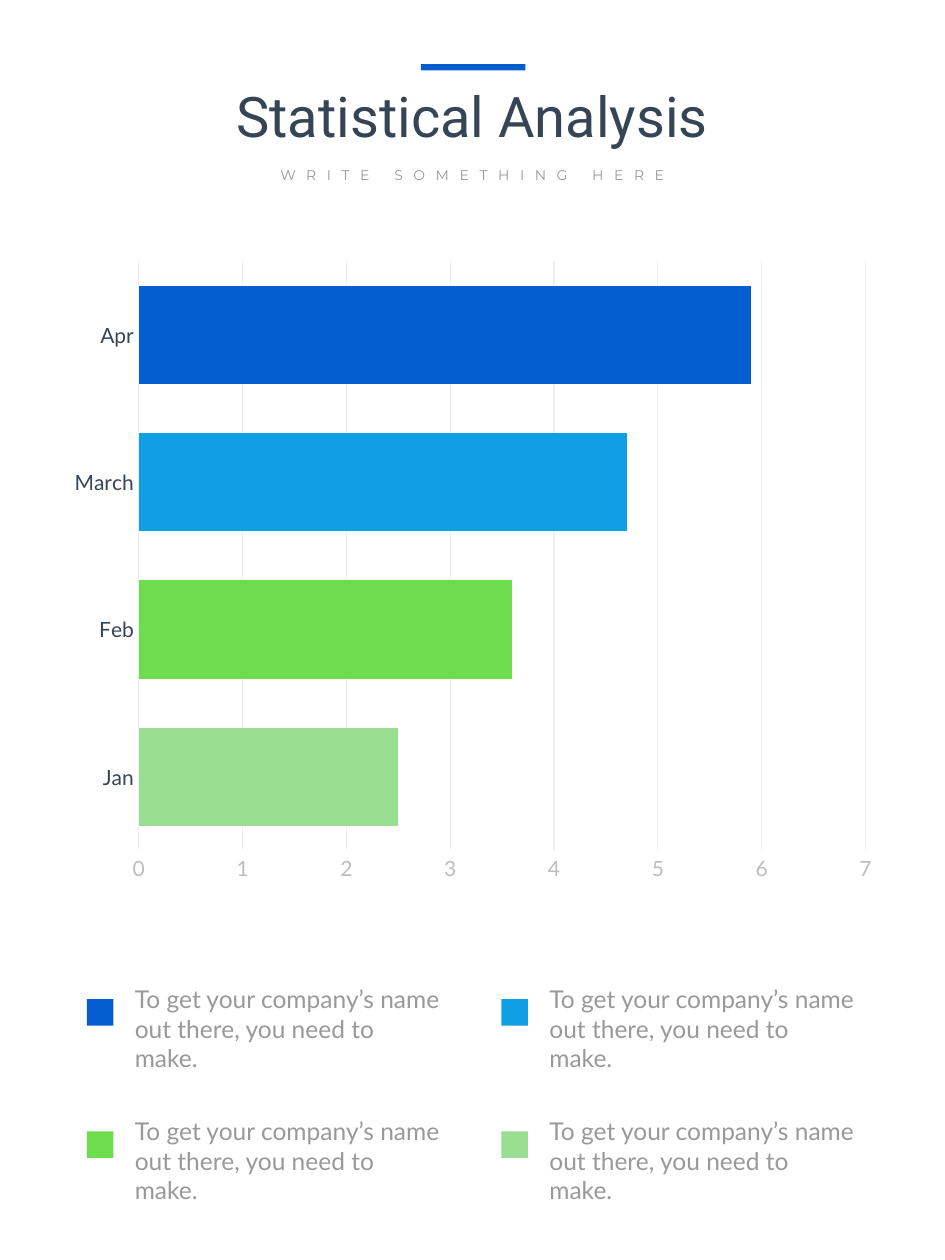
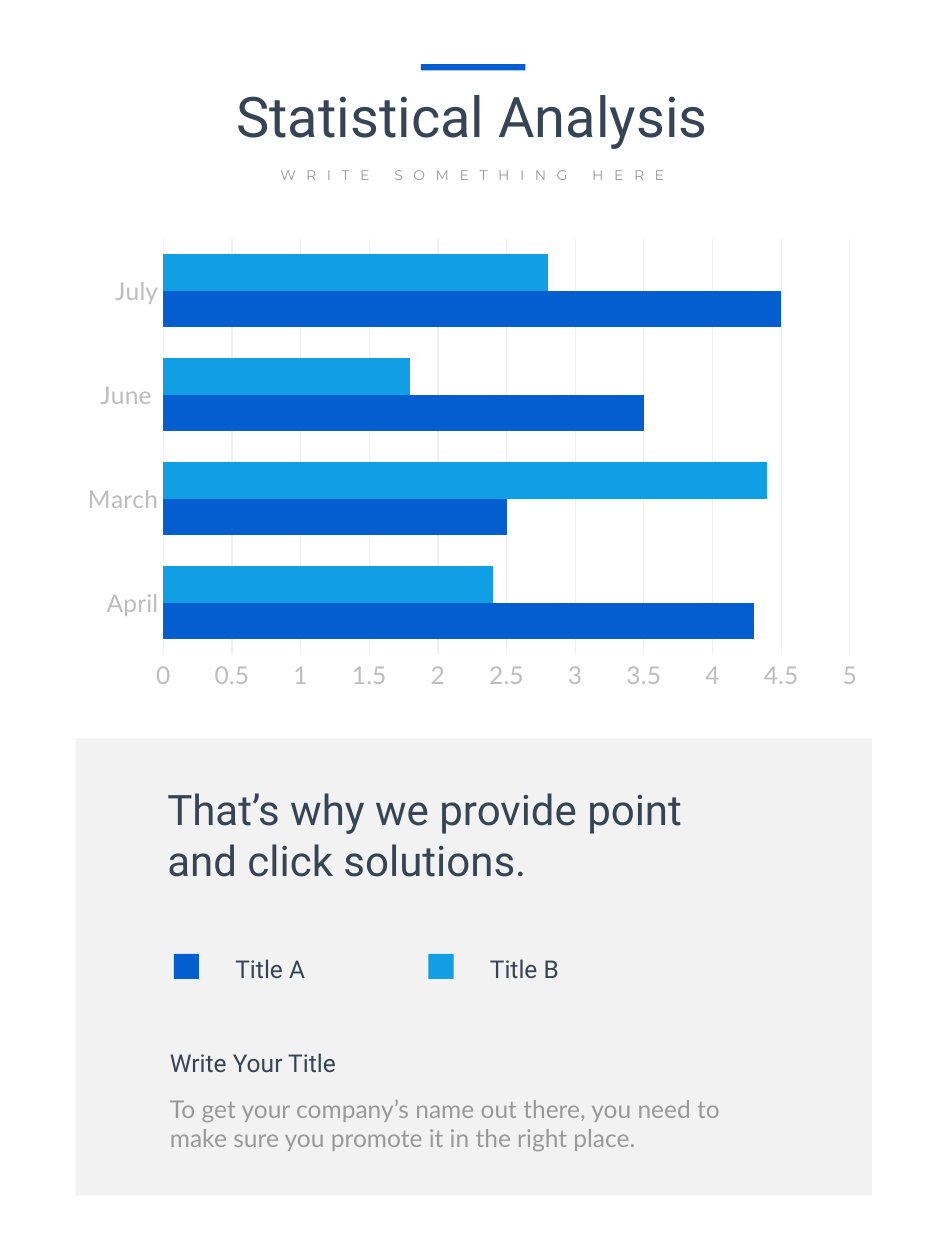
from dataclasses import dataclass

import lxml.etree
import pptx
import pptx.chart.data
import pptx.dml.color
import pptx.enum.chart
import pptx.enum.shapes
import pptx.enum.text
import pptx.oxml.ns
import pptx.util
from pptx.util import Inches


@dataclass(frozen=True)
class TextStyle:
    font: str
    size: int
    color: str
    tracking: int = 0


@dataclass(frozen=True)
class Theme:
    blue: str = "045ED0"
    sky: str = "109FE4"
    green: str = "6EDD4D"
    mint: str = "98DE91"
    panel: str = "808080"
    panel_opacity: int = 10
    grid: str = "F0F0F0"
    title: TextStyle = TextStyle("Roboto", 32, "364556")
    subtitle: TextStyle = TextStyle("Montserrat", 8, "999999", tracking=6)
    headline: TextStyle = TextStyle("Roboto", 24, "364556")
    label: TextStyle = TextStyle("Roboto", 14, "364556")
    body: TextStyle = TextStyle("Lato", 14, "999999")
    month: TextStyle = TextStyle("Lato", 12, "364556")
    small_axis: TextStyle = TextStyle("Lato", 12, "BDBDBD")
    axis: TextStyle = TextStyle("Lato", 14, "BDBDBD")


@dataclass(frozen=True)
class Box:
    left: float
    top: float
    width: float
    height: float

    def inner(self, left, top, width, height):
        """Return a box whose offset is measured from this box's corner."""
        return Box(self.left + left, self.top + top, width, height)

    def lengths(self):
        return [Inches(value) for value in (self.left, self.top, self.width, self.height)]


THEME = Theme()


def rgb(color):
    return pptx.dml.color.RGBColor.from_string(color)


def apply_style(font, style):
    font.name = style.font
    font.size = pptx.util.Pt(style.size)
    font.color.rgb = rgb(style.color)


def add_text(slide, box, text, style, centered=False, insets=(0.1, 0.05)):
    frame = slide.shapes.add_textbox(*box.lengths()).text_frame
    frame.word_wrap = True
    frame.auto_size = pptx.enum.text.MSO_AUTO_SIZE.SHAPE_TO_FIT_TEXT
    frame.margin_left = frame.margin_right = Inches(insets[0])
    frame.margin_top = frame.margin_bottom = Inches(insets[1])
    paragraph = frame.paragraphs[0]
    paragraph.text = text
    if centered:
        paragraph.alignment = pptx.enum.text.PP_ALIGN.CENTER
    apply_style(paragraph.font, style)
    if style.tracking:
        properties = paragraph.runs[0]._r.get_or_add_rPr()
        properties.set("spc", str(style.tracking * 100))


def add_block(slide, box, color, opacity=100):
    shape = slide.shapes.add_shape(pptx.enum.shapes.MSO_SHAPE.RECTANGLE, *box.lengths())
    shape.shadow.inherit = False
    shape.fill.solid()
    shape.fill.fore_color.rgb = rgb(color)
    shape.line.fill.background()
    if opacity < 100:
        fill_color = shape._element.spPr.find(".//" + pptx.oxml.ns.qn("a:srgbClr"))
        alpha = lxml.etree.SubElement(fill_color, pptx.oxml.ns.qn("a:alpha"))
        alpha.set("val", str(opacity * 1000))


def add_header(slide, box):
    add_text(slide, box.inner(0, 0.09, box.width, 0.64), "Statistical Analysis",
             THEME.title, centered=True)
    add_text(slide, box.inner(0.46, 0.76, 3.42, 0.24), "WRITE SOMETHING HERE",
             THEME.subtitle, centered=True)
    add_block(slide, box.inner(1.76, 0, 0.83, 0.05), THEME.blue)


def style_axis(axis, style):
    axis.major_tick_mark = axis.minor_tick_mark = pptx.enum.chart.XL_TICK_MARK.NONE
    apply_style(axis.tick_labels.font, style)


def style_hairline(line):
    line.color.rgb = rgb(THEME.grid)
    line.width = pptx.util.Pt(0.75)


def add_bar_chart(slide, box, categories, series_values, series_colors, gap,
                  category_style, value_style, maximum, step):
    """Add a horizontal bar chart and return its series."""
    data = pptx.chart.data.CategoryChartData()
    data.categories = categories
    for number, values in enumerate(series_values, 1):
        data.add_series(f"Series {number}", values)
    chart = slide.shapes.add_chart(
        pptx.enum.chart.XL_CHART_TYPE.BAR_CLUSTERED, *box.lengths(), data).chart
    chart.has_legend = False
    chart.has_title = False
    apply_style(chart.font, value_style)

    style_axis(chart.category_axis, category_style)
    style_hairline(chart.category_axis.format.line)
    value_axis = chart.value_axis
    style_axis(value_axis, value_style)
    value_axis.format.line.fill.background()
    value_axis.minimum_scale, value_axis.maximum_scale = 0, maximum
    value_axis.major_unit = step
    value_axis.has_major_gridlines = True
    style_hairline(value_axis.major_gridlines.format.line)

    plot = chart.plots[0]
    plot.gap_width = gap
    plot.overlap = 0
    plot.vary_by_categories = False
    for series, color in zip(plot.series, series_colors):
        series.invert_if_negative = False
        series.format.fill.solid()
        series.format.fill.fore_color.rgb = rgb(color)
    return plot.series


def add_legend_grid(slide, box):
    colors = (THEME.blue, THEME.sky, THEME.green, THEME.mint)
    for index, color in enumerate(colors):
        row, column = divmod(index, 2)
        left, top = column * 3.29, row * 1.05
        add_text(slide, box.inner(left + 0.14, top, 2.92, 0.71),
                 "To get your company’s name out there, you need to make.",
                 THEME.body, insets=(0.24, 0.12))
        add_block(slide, box.inner(left, top + 0.24, 0.21, 0.21), color)


def add_summary_panel(slide, box):
    add_block(slide, box, THEME.panel, THEME.panel_opacity)
    add_text(slide, box.inner(0.63, 0.31, 4.63, 0.91),
             "That’s why we provide point and click solutions.", THEME.headline)
    for index, (name, color) in enumerate((("Title A", THEME.blue), ("Title B", THEME.sky))):
        left = 0.78 + index * 2.02
        add_block(slide, box.inner(left, 1.71, 0.2, 0.2), color)
        add_text(slide, box.inner(left + 0.39, 1.66, 1.44, 0.34), name, THEME.label)
    add_text(slide, box.inner(0.65, 2.41, 3.33, 0.34), "Write Your Title", THEME.label)
    add_text(slide, box.inner(0.65, 2.77, 4.85, 0.57),
             "To get your company’s name out there, you need to make sure "
             "you promote it in the right place.", THEME.body)


def build_single_series_slide(slide):
    series = add_bar_chart(
        slide, Box(0.46, 1.97, 6.59, 5.12), ("Jan", "Feb", "March", "Apr"),
        [(2.5, 3.6, 4.7, 5.9)], [THEME.blue], 50,
        THEME.month, THEME.small_axis, maximum=7, step=1)[0]
    for index, color in enumerate((THEME.mint, THEME.green, THEME.sky)):
        fill = series.points[index].format.fill
        fill.solid()
        fill.fore_color.rgb = rgb(color)
    add_legend_grid(slide, Box(0.69, 7.69, 6.36, 1.76))


def build_comparison_slide(slide):
    add_bar_chart(
        slide, Box(0.57, 1.82, 6.36, 3.73), ("April", "March", "June ", "July"),
        [(4.3, 2.5, 3.5, 4.5), (2.4, 4.4, 1.8, 2.8)], [THEME.blue, THEME.sky], 83,
        THEME.axis, THEME.axis, maximum=5, step=0.5)
    add_summary_panel(slide, Box(0.6, 5.86, 6.32, 3.63))


def main():
    presentation = pptx.Presentation()
    presentation.slide_width = Inches(7.5)
    presentation.slide_height = Inches(10)
    for build_slide in (build_single_series_slide, build_comparison_slide):
        slide = presentation.slides.add_slide(presentation.slide_layouts[6])
        add_header(slide, Box(1.58, 0.51, 4.34, 1))
        build_slide(slide)
    presentation.save("out.pptx")


if __name__ == "__main__":
    main()
